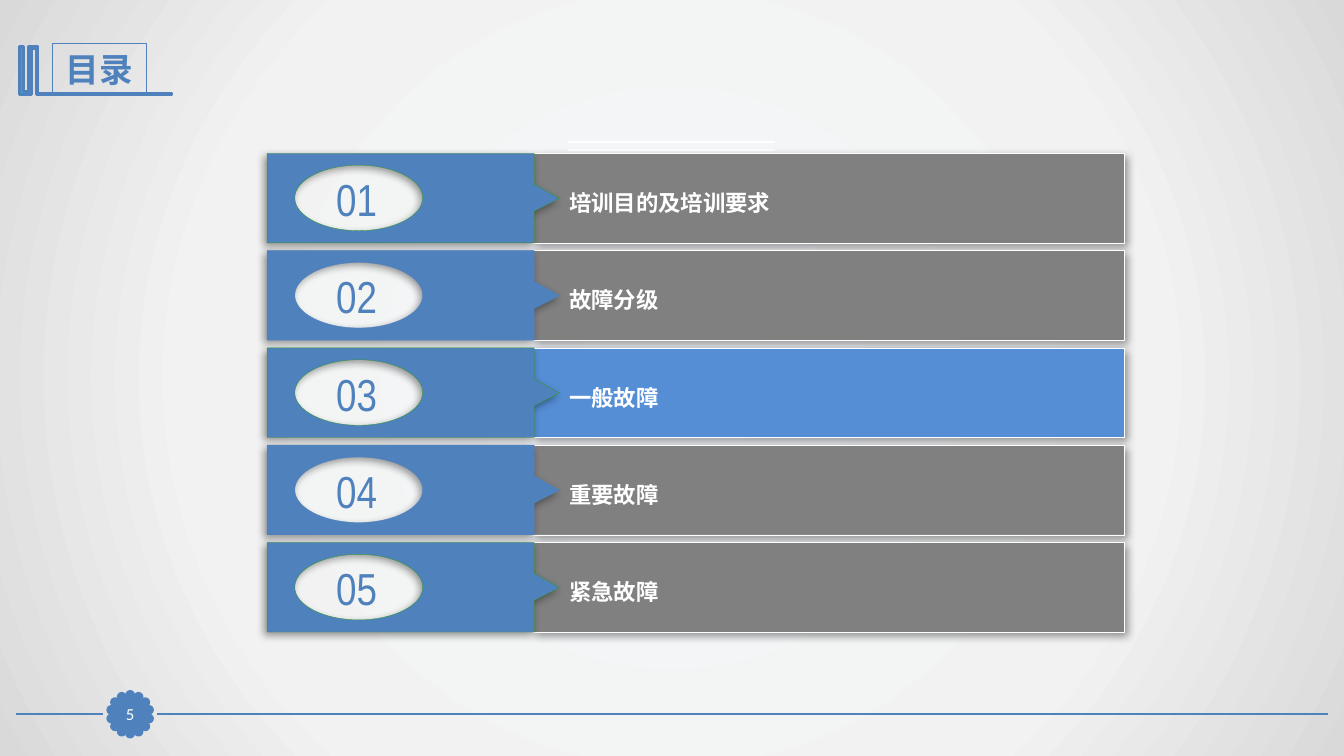
import math

import pptx
import pptx.dml.color
import pptx.enum.shapes
import pptx.enum.text
import pptx.oxml
import pptx.oxml.ns
import pptx.util

Pt = pptx.util.Pt
qn = pptx.oxml.ns.qn
SHAPE = pptx.enum.shapes.MSO_SHAPE
ALIGN = pptx.enum.text.PP_ALIGN
ANCHOR = pptx.enum.text.MSO_ANCHOR
NS = 'xmlns:a="http://schemas.openxmlformats.org/drawingml/2006/main"'

BLUE, BRIGHT, GREY, GREEN, WHITE = "4F81BD", "558ED5", "808080", "339933", "FFFFFF"
ROWS = [
    ("培训目的及培训要求", GREY, GREEN),
    ("故障分级", GREY, BLUE),
    ("一般故障", BRIGHT, GREEN),
    ("重要故障", GREY, BLUE),
    ("紧急故障", GREY, GREEN),
]


def rgb(value):
    return pptx.dml.color.RGBColor.from_string(value)


def box_pt(*lengths):
    return [Pt(v) for v in lengths]


def paint(sp, fill, line, width, shadow_dir=None):
    """Fill and outline a shape, with an optional outer shadow."""
    if fill:
        sp.fill.solid()
        sp.fill.fore_color.rgb = rgb(fill)
    else:
        sp.fill.background()
    sp.line.color.rgb = rgb(line)
    sp.line.width = Pt(width)
    sp.shadow.inherit = False
    if shadow_dir is not None:
        effects = sp._element.spPr.find(qn("a:effectLst"))
        effects.append(pptx.oxml.parse_xml(
            f'<a:outerShdw {NS} blurRad="{Pt(6)}" dist="{Pt(3)}" dir="{shadow_dir * 60000}" '
            'algn="ctr" rotWithShape="0"><a:srgbClr val="000000"><a:alpha val="40000"/>'
            '</a:srgbClr></a:outerShdw>'))


def write(sp, text, align, frame, font):
    """Put one formatted line of text in a shape."""
    tf = sp.text_frame
    for name, value in {"word_wrap": True, **frame}.items():
        setattr(tf, name, value)
    p = tf.paragraphs[0]
    p.alignment = align
    r = p.add_run()
    r.text = text
    font = dict(font)
    r.font.color.rgb = rgb(font.pop("color"))
    for name, value in font.items():
        setattr(r.font, name, value)


def add_line(shapes, x1, x2, y, color, width):
    c = shapes.add_connector(pptx.enum.shapes.MSO_CONNECTOR.STRAIGHT, *box_pt(x1, y, x2, y))
    c.line.color.rgb = rgb(color)
    c.line.width = Pt(width)
    c._element.spPr.append(pptx.oxml.parse_xml(f"<a:effectLst {NS}/>"))


def add_outline(shapes, x, y, contours, curves=0):
    """Build a freeform; its first segments, taken by threes, become curves."""
    builder = None
    for contour in contours:
        start, *rest = [box_pt(x + dx, y + dy) for dx, dy in contour]
        if builder is None:
            builder = shapes.build_freeform(*start)
        else:
            builder.move_to(*start)
        builder.add_line_segments(rest, close=True)
    sp = builder.convert_to_shape()
    segments = sp._element.findall(".//" + qn("a:lnTo"))
    for i in range(curves):
        first, *others = segments[3 * i:3 * i + 3]
        curve = pptx.oxml.parse_xml(f"<a:cubicBezTo {NS}/>")
        first.addprevious(curve)
        for segment in (first, *others):
            curve.append(segment[0])
            segment.getparent().remove(segment)
    return sp


def oval_points(cx, cy, rx, ry):
    """Control points of an oval drawn as four curves, from the top."""
    k = 0.55
    unit = [(0, -1), (-k, -1), (-1, -k), (-1, 0), (-1, k), (-k, 1), (0, 1),
            (k, 1), (1, k), (1, 0), (1, -k), (k, -1), (0, -1)]
    return [(cx + rx * u, cy + ry * v) for u, v in unit]


def set_background(slide):
    slide.background.fill.gradient()
    grad = slide.element.find(".//" + qn("a:gradFill"))
    stops = "".join(
        f'<a:gs pos="{pos * 1000}"><a:srgbClr val="{color}"/></a:gs>'
        for pos, color in [(0, "F6F9FC"), (63, "F2F2F2"), (100, "D9D9D9")])
    grad.getparent().replace(grad, pptx.oxml.parse_xml(
        f'<a:gradFill {NS} rotWithShape="1"><a:gsLst>{stops}</a:gsLst><a:path path="circle">'
        '<a:fillToRect l="50000" t="50000" r="50000" b="50000"/></a:path></a:gradFill>'))


def add_heading(slide, x, y):
    # Book spines running into an underline
    spines = [(13, 0), (13.5, 0), (13.5, 33.3), (109.2, 33.3), (109.2, 34.6), (12.2, 34.6),
              (12.2, 1.5), (8.6, 1.5), (8.6, 34.6), (0, 34.6), (0, 0), (2.9, 0),
              (2.9, 32.4), (6.5, 32.4), (6.5, 0)]
    paint(add_outline(slide.shapes, x, y, [spines]), "28A9D6", BLUE, 2)
    # Boxed title
    title = slide.shapes.title
    title.left, title.top, title.width, title.height = box_pt(x + 23.8, y - 2.2, 67, 36.6)
    paint(title, None, BLUE, 0.75)
    write(title, "目录", ALIGN.CENTER,
          {"vertical_anchor": ANCHOR.MIDDLE, "auto_size": pptx.enum.text.MSO_AUTO_SIZE.NONE},
          {"name": "Arial Narrow", "size": Pt(24), "bold": True, "color": BLUE})


def add_footer(slide, x, y, width):
    # Rule on both sides of the badge
    cx = x + 81.8
    add_line(slide.shapes, cx + 19.4, x + width, y, BLUE, 1.25)
    add_line(slide.shapes, x, cx - 19.5, y, BLUE, 1.25)
    # Scalloped badge with the page number
    count, radius, dot = 14, 13.8, 5
    badge = slide.shapes.add_group_shape()
    for i in range(count):
        angle = 2 * math.pi * i / count
        sp = badge.shapes.add_shape(SHAPE.OVAL, *box_pt(
            cx + radius * math.sin(angle) - dot / 2,
            y - radius * math.cos(angle) - dot / 2, dot, dot))
        paint(sp, BLUE, BLUE, 2)
    sp = slide.shapes.add_shape(SHAPE.RECTANGLE, *box_pt(cx - 11.5, y - 11.2, 23, 22.4))
    paint(sp, BLUE, BLUE, 0.75)
    margins = {f"margin_{side}": 0 for side in ("left", "top", "right", "bottom")}
    write(sp, "5", ALIGN.CENTER, {"vertical_anchor": ANCHOR.MIDDLE, **margins},
          {"name": "Calibri", "size": Pt(12), "color": WHITE})


def add_row(slide, x, y, width, height, number, label, fill, outline):
    shapes = slide.shapes.add_group_shape().shapes
    body, tip = 190.8, 208.8
    # Bar
    bar_x = body - 1.4
    bar = shapes.add_shape(SHAPE.RECTANGLE, *box_pt(x + bar_x, y, width - bar_x, height))
    paint(bar, fill, WHITE, 0.25, 45)
    # Pointed tag with an oval window
    tag = [(0, 0), (body, 0), (body, 22.1), (tip, 32.2), (body, 41.4), (body, height), (0, height)]
    window = oval_points(65.5, 31.9, 45.7, 23.4)
    paint(add_outline(shapes, x, y, [window, tag], curves=4), BLUE, outline, 0.25, 135)
    # Number and label
    tb = shapes.add_textbox(*box_pt(x + 27.6, y + 9.4, 72.7, 46))
    write(tb, f"{number:02d}", ALIGN.CENTER, {"vertical_anchor": ANCHOR.MIDDLE},
          {"name": "Arial Narrow", "size": Pt(32), "color": BLUE})
    tb = shapes.add_textbox(*box_pt(x + tip, y + 22.1, width - tip, 26.6))
    write(tb, label, ALIGN.LEFT, {},
          {"name": "Calibri", "size": Pt(16), "bold": True, "color": WHITE})


def add_contents(slide, x, y, width, height):
    # Double rule above the list
    for dy in (-8, -2.2):
        add_line(slide.shapes, x + 215, x + 362.9, y + dy, WHITE, 1.5)
    # Evenly spaced rows
    row_height = 64
    pitch = (height - row_height) / (len(ROWS) - 1)
    for i, row in enumerate(ROWS):
        add_row(slide, x, y + i * pitch, width, row_height, i + 1, *row)


def main():
    prs = pptx.Presentation()
    prs.slide_width, prs.slide_height = box_pt(960, 540)
    slide = prs.slides.add_slide(prs.slide_layouts[5])
    set_background(slide)
    add_footer(slide, 11.2, 510.2, 937.5)
    add_heading(slide, 13.7, 33.1)
    add_contents(slide, 190.8, 109.5, 612.2, 342)
    prs.save("out.pptx")


if __name__ == "__main__":
    main()
